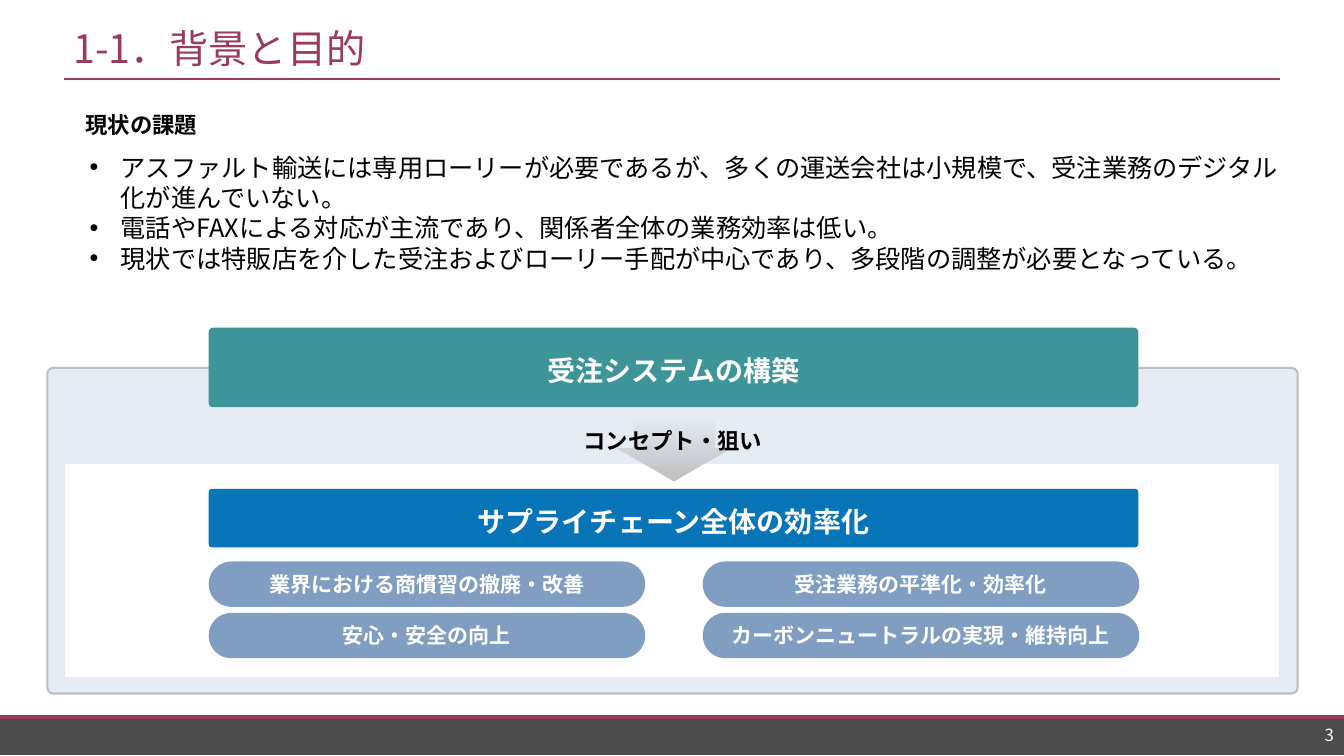
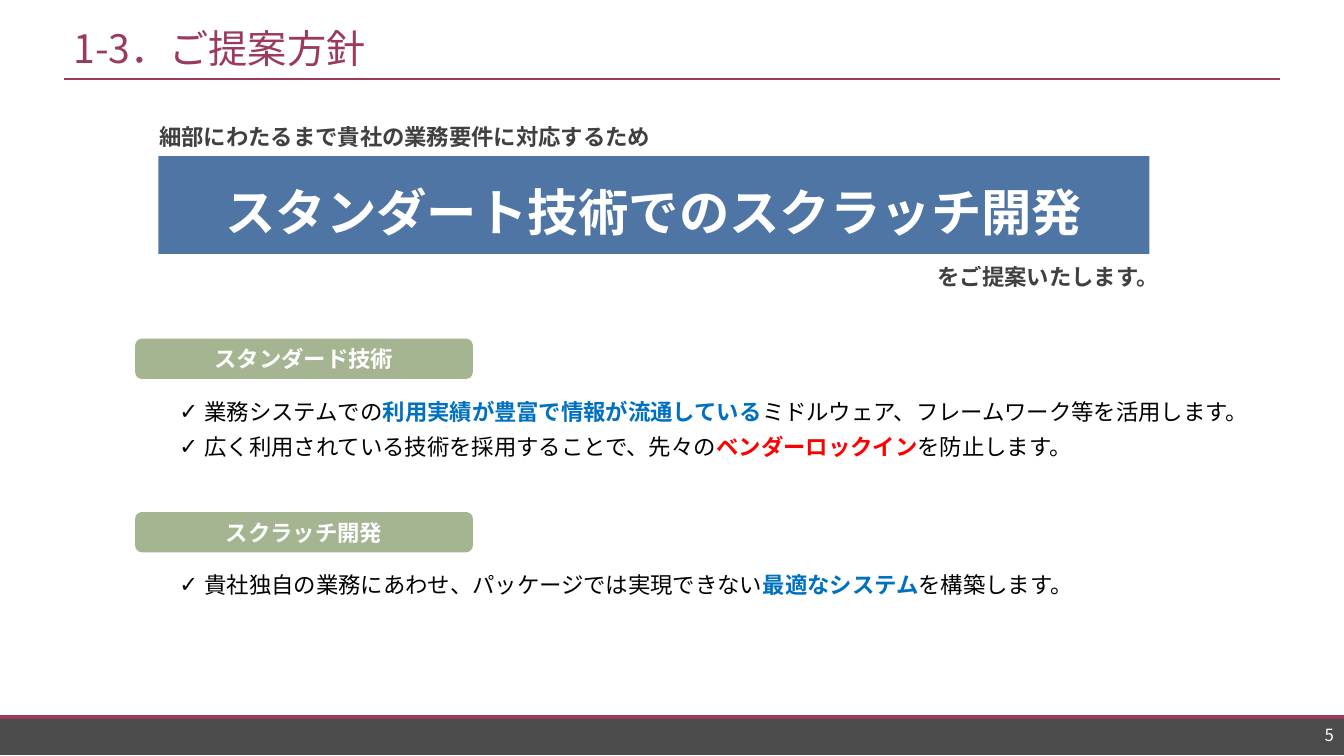
import pptx
import pptx.util
import pptx.dml.color
import pptx.enum.dml
import pptx.enum.lang
import pptx.enum.shapes
import pptx.enum.text
import pptx.oxml.ns
from lxml import etree

Inches = pptx.util.Inches
Pt = pptx.util.Pt
RGBColor = pptx.dml.color.RGBColor
SHAPE = pptx.enum.shapes.MSO_SHAPE
ALIGN = pptx.enum.text.PP_ALIGN
ANCHOR = pptx.enum.text.MSO_ANCHOR
qn = pptx.oxml.ns.qn

JP_FONT = "Noto Sans CJK JP"
LATIN_FONT = "Arial"

WHITE = RGBColor(0xFF, 0xFF, 0xFF)
BLACK = RGBColor(0, 0, 0)
DARK = RGBColor(0x40, 0x40, 0x40)
FOOTER = RGBColor(0x4B, 0x4B, 0x4B)
WINE = RGBColor(0x9A, 0x3B, 0x5D)
PANEL = RGBColor(0xE6, 0xEC, 0xF3)
GRAY = RGBColor(0xBF, 0xBF, 0xBF)
TEAL = RGBColor(0x3D, 0x95, 0x99)
BLUE = RGBColor(0x08, 0x75, 0xB8)
PILL = RGBColor(0x80, 0x9E, 0xC2)
BANNER = RGBColor(0x4E, 0x75, 0xA3)
GREEN = RGBColor(0xA5, 0xB5, 0x92)
KEY_BLUE = RGBColor(0x00, 0x70, 0xC0)
KEY_RED = RGBColor(0xFF, 0, 0)


# Shared helpers
def style_run(r, size, color, bold=False, font=JP_FONT):
    r.font.size, r.font.bold, r.font.name = Pt(size), bold, font
    r.font.color.rgb = color
    r.font.language_id = pptx.enum.lang.MSO_LANGUAGE_ID.JAPANESE
    etree.SubElement(r.font._element, qn("a:ea")).set("typeface", JP_FONT)


def add_bullet(p, char, indent):
    pPr = p._p.get_or_add_pPr()
    pPr.set("marL", str(Inches(indent)))
    pPr.set("indent", str(-Inches(indent)))
    etree.SubElement(pPr, qn("a:buFont")).set("typeface", LATIN_FONT)
    etree.SubElement(pPr, qn("a:buChar")).set("char", char)


def set_text(sp, text, size, color, bold=False, font=JP_FONT,
             align=ALIGN.LEFT, wrap=True, spacing=None):
    tf = sp.text_frame
    tf.word_wrap = wrap
    tf.vertical_anchor = ANCHOR.MIDDLE
    tf.text = text
    p = tf.paragraphs[0]
    p.alignment = align
    if spacing:
        p.line_spacing = spacing
    style_run(p.runs[0], size, color, bold, font)


def add_text(s, box, text, size, color, **style):
    sp = s.shapes.add_textbox(*map(Inches, box))
    set_text(sp, text, size, color, **style)


def add_box(s, box, fill=None, kind=SHAPE.RECTANGLE, adj=()):
    sp = s.shapes.add_shape(kind, *map(Inches, box))
    sp.shadow.inherit = False
    for i, value in enumerate(adj):
        sp.adjustments[i] = value
    if fill is not None:
        sp.fill.solid()
        sp.fill.fore_color.rgb = fill
    sp.line.fill.background()
    return sp


def add_bar(s, box, text, size, fill, kind=SHAPE.RECTANGLE, adj=(), font=JP_FONT):
    sp = add_box(s, box, fill, kind, adj)
    tf = sp.text_frame
    tf.margin_left = tf.margin_right = Inches(0.07)
    tf.margin_top = tf.margin_bottom = Inches(0.04)
    set_text(sp, text, size, WHITE, bold=True, font=font, align=ALIGN.CENTER, spacing=1.2)


def add_rule(s, x1, x2, y, width):
    line = s.shapes.add_connector(pptx.enum.shapes.MSO_CONNECTOR.STRAIGHT,
                                  Inches(x1), Inches(y), Inches(x2), Inches(y))
    line.line.color.rgb = WINE
    line.line.width = Pt(width)
    etree.SubElement(line._element.spPr, qn("a:effectLst"))


def add_list(s, box, items, char, indent, size, font=JP_FONT, before=0, side=0.1):
    """Each item is a list of (text, color, bold) runs."""
    tf = s.shapes.add_textbox(*map(Inches, box)).text_frame
    tf.word_wrap = True
    tf.margin_left = tf.margin_right = Inches(side)
    for i, parts in enumerate(items):
        p = tf.add_paragraph() if i else tf.paragraphs[0]
        add_bullet(p, char, indent)
        if i and before:
            p.space_before = Pt(before)
        for text, color, bold in parts:
            r = p.add_run()
            r.text = text
            style_run(r, size, color, bold, font)


def add_frame(prs, title, number):
    """Blank slide with the footer band, the title and its rule."""
    s = prs.slides.add_slide(prs.slide_layouts[6])
    add_box(s, (0, 7.1, 13.33, 0.39), FOOTER)
    add_rule(s, 0, 13.33, 7.11, 2.75)
    add_rule(s, 0.63, 12.7, 0.78, 1.5)
    add_text(s, (0.63, 0.2, 12.07, 0.55), title, 28, WINE, wrap=False)
    add_text(s, (11.76, 7.17, 1.57, 0.24), number, 12, WHITE, align=ALIGN.RIGHT)
    return s


# Background and purpose
def add_issues(s, x, y, w):
    add_text(s, (x, y, 9.48, 0.39), "現状の課題", 16, BLACK, bold=True, wrap=False)
    issues = [
        "アスファルト輸送には専用ローリーが必要であるが、多くの運送会社は小規模で、受注業務のデジタル化が進んでいない。",
        "電話やFAXによる対応が主流であり、関係者全体の業務効率は低い。",
        "現状では特販店を介した受注およびローリー手配が中心であり、多段階の調整が必要となっている。",
    ]
    add_list(s, (x + 0.04, y + 0.42, w, 1.31),
             [[(text, BLACK, False)] for text in issues], "•", 0.31, 18)


def add_concept(s, x, y, w, h):
    # Panel and its inner field
    panel = add_box(s, (x, y, w, h), PANEL, SHAPE.ROUNDED_RECTANGLE, [0.018])
    panel.line.color.rgb = GRAY
    panel.line.width = Pt(1.5)
    field = add_box(s, (x + 0.17, y + 0.95, w - 0.35, h - 1.12))
    field.fill.patterned()
    field.fill.pattern = pptx.enum.dml.MSO_PATTERN.DARK_HORIZONTAL
    field.fill.fore_color.rgb = WHITE
    field.fill.back_color.rgb = PANEL

    # System, arrow and aim
    left, bar_w = x + 1.6, 9.22
    add_bar(s, (left, y - 0.4, bar_w, 0.79), "受注システムの構築", 20, TEAL,
            SHAPE.ROUNDED_RECTANGLE, [0.055])
    arrow = add_box(s, (x + 5.65, y + 0.47, 1.13, 0.65), kind=SHAPE.DOWN_ARROW,
                    adj=[0.716, 0.5])
    arrow.fill.gradient()
    arrow.fill.gradient_angle = 270
    for stop, color in zip(arrow.fill.gradient_stops, (PANEL, GRAY)):
        stop.color.rgb = color
    add_text(s, (x + 0.82, y + 0.31, 10.77, 0.82), "コンセプト・狙い", 16, BLACK,
             bold=True, align=ALIGN.CENTER)
    add_bar(s, (left, y + 1.2, bar_w, 0.58), "サプライチェーン全体の効率化", 20, BLUE,
            SHAPE.ROUNDED_RECTANGLE, [0.055])

    # Two by two effects
    effects = ["業界における商慣習の撤廃・改善", "受注業務の平準化・効率化",
               "安心・安全の向上", "カーボンニュートラルの実現・維持向上"]
    for i, text in enumerate(effects):
        row, col = divmod(i, 2)
        pill = add_box(s, (left + col * 4.9, y + 1.92 + row * 0.51, 4.33, 0.45), PILL,
                       SHAPE.ROUNDED_RECTANGLE, [0.5])
        set_text(pill, text, 15, WHITE, bold=True, align=ALIGN.CENTER)


def background_slide(prs):
    s = add_frame(prs, "1-1．背景と目的", "3")
    add_concept(s, 0.47, 3.65, 12.4, 3.23)
    add_issues(s, 0.75, 1.04, 12.07)


# Proposal policy
def add_proposal(s, x, y, w, h):
    note = dict(bold=True, font=LATIN_FONT)
    add_text(s, (x - 0.09, y - 0.38, 6.69, 0.37),
             "細部にわたるまで貴社の業務要件に対応するため", 16, DARK, **note)
    add_bar(s, (x, y, w, h), "スタンダート技術でのスクラッチ開発", 36, BANNER,
            font=LATIN_FONT)
    add_text(s, (x + w - 6.5, y + h + 0.04, 6.69, 0.37),
             "をご提案いたします。", 16, DARK, align=ALIGN.RIGHT, **note)


def add_policy(s, x, y, w, label, items):
    tag = add_box(s, (x, y, 3.35, 0.4), GREEN, SHAPE.ROUNDED_RECTANGLE)
    set_text(tag, label, 16, WHITE, bold=True, font=LATIN_FONT,
             align=ALIGN.CENTER, wrap=False)
    add_list(s, (x + 0.32, y + 0.54, w, 0.37 * len(items)), items, "✓", 0.2, 16,
             LATIN_FONT, before=6, side=0.12)


def policy_slide(prs):
    s = add_frame(prs, "1-3．ご提案方針", "5")
    add_proposal(s, 1.57, 1.55, 9.83, 0.97)
    add_policy(s, 1.34, 3.36, 11.05, "スタンダード技術", [
        [(" 業務システムでの", BLACK, False),
         ("利用実績が豊富で情報が流通している", KEY_BLUE, True),
         ("ミドルウェア、フレームワーク等を活用します。", BLACK, False)],
        [(" 広く利用されている技術を採用することで、先々の", BLACK, False),
         ("ベンダーロックイン", KEY_RED, True),
         ("を防止します。", BLACK, False)],
    ])
    add_policy(s, 1.34, 5.08, 10.47, "スクラッチ開発", [
        [(" 貴社独自の業務にあわせ、パッケージでは実現できない", BLACK, False),
         ("最適なシステム", KEY_BLUE, True),
         ("を構築します。", BLACK, False)],
    ])


def main():
    prs = pptx.Presentation()
    prs.slide_width, prs.slide_height = Inches(13.33), Inches(7.5)
    background_slide(prs)
    policy_slide(prs)
    prs.save("out.pptx")


if __name__ == "__main__":
    main()
